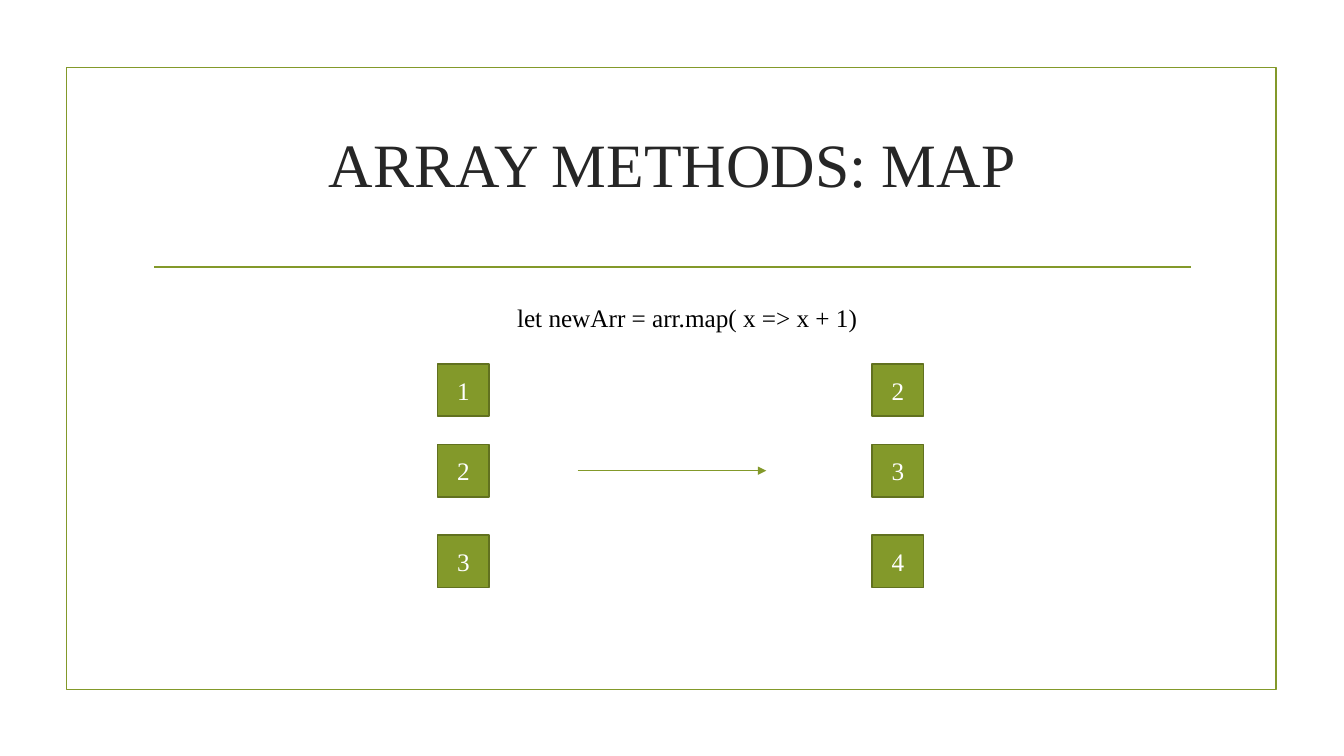
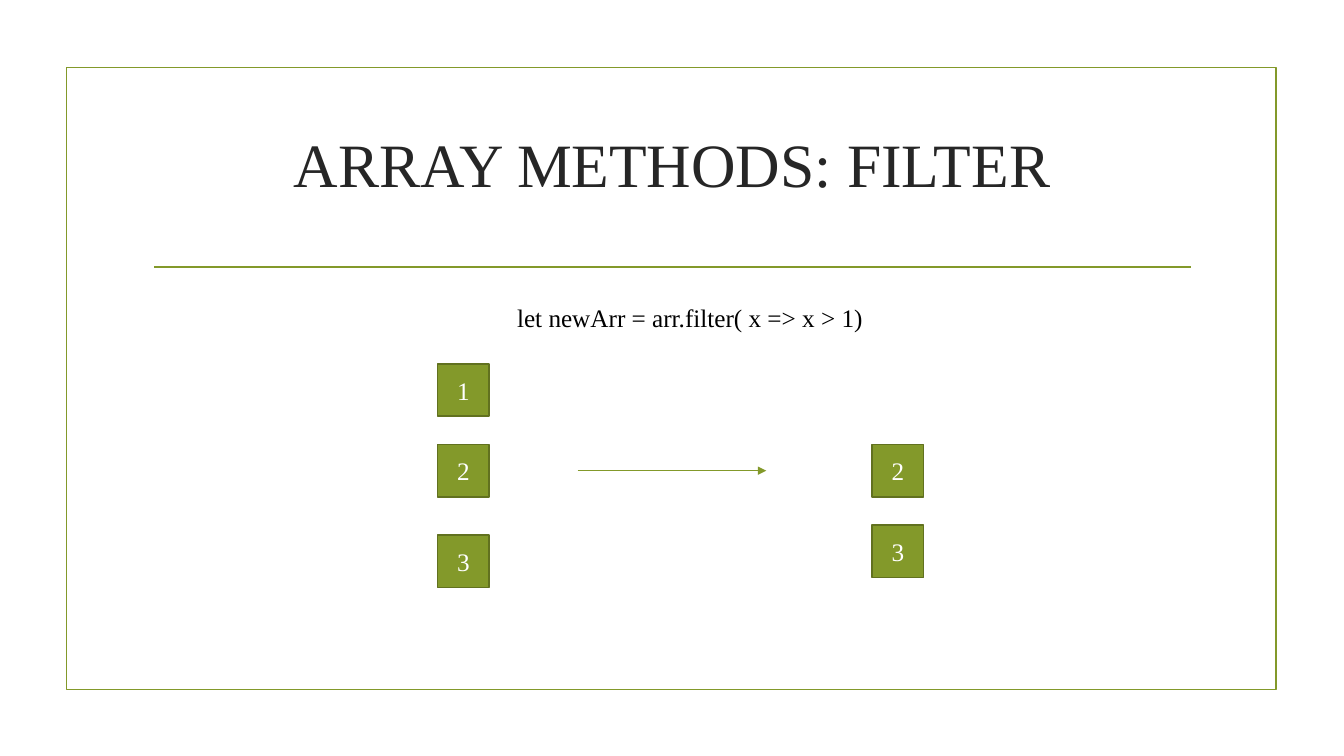
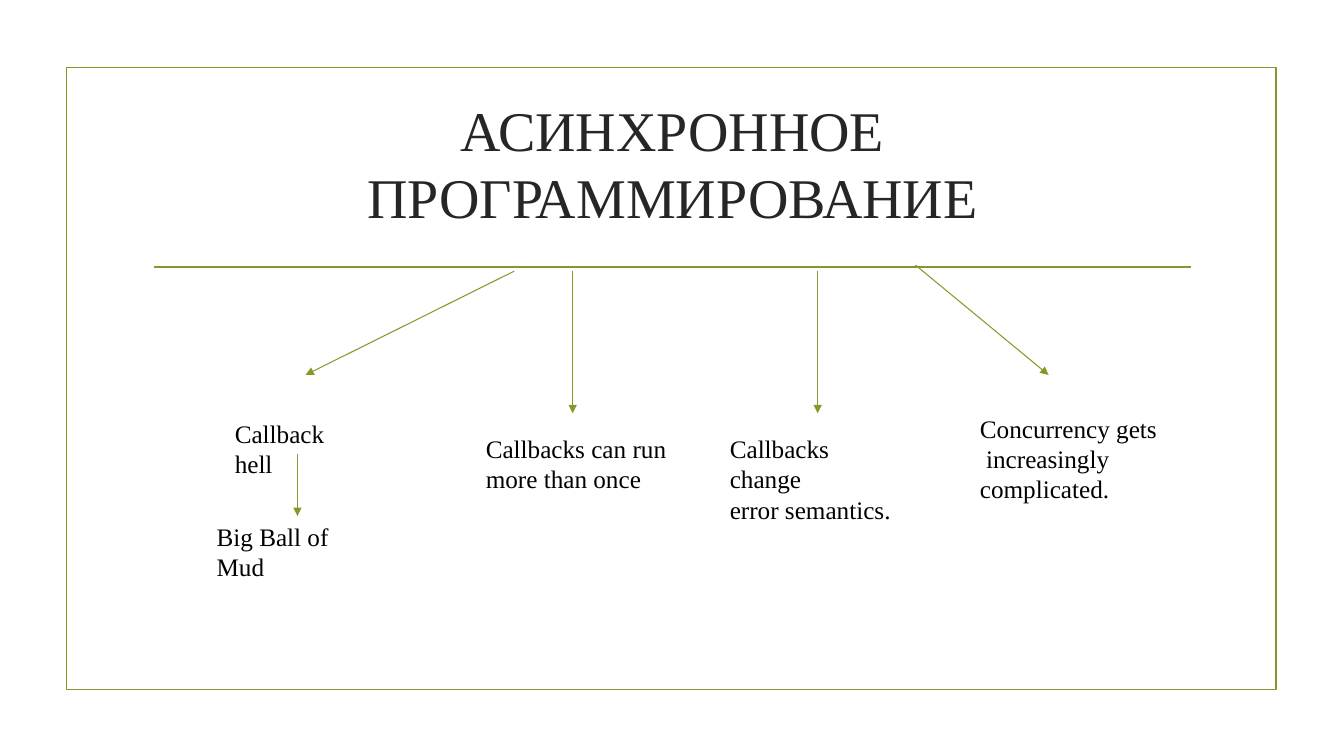
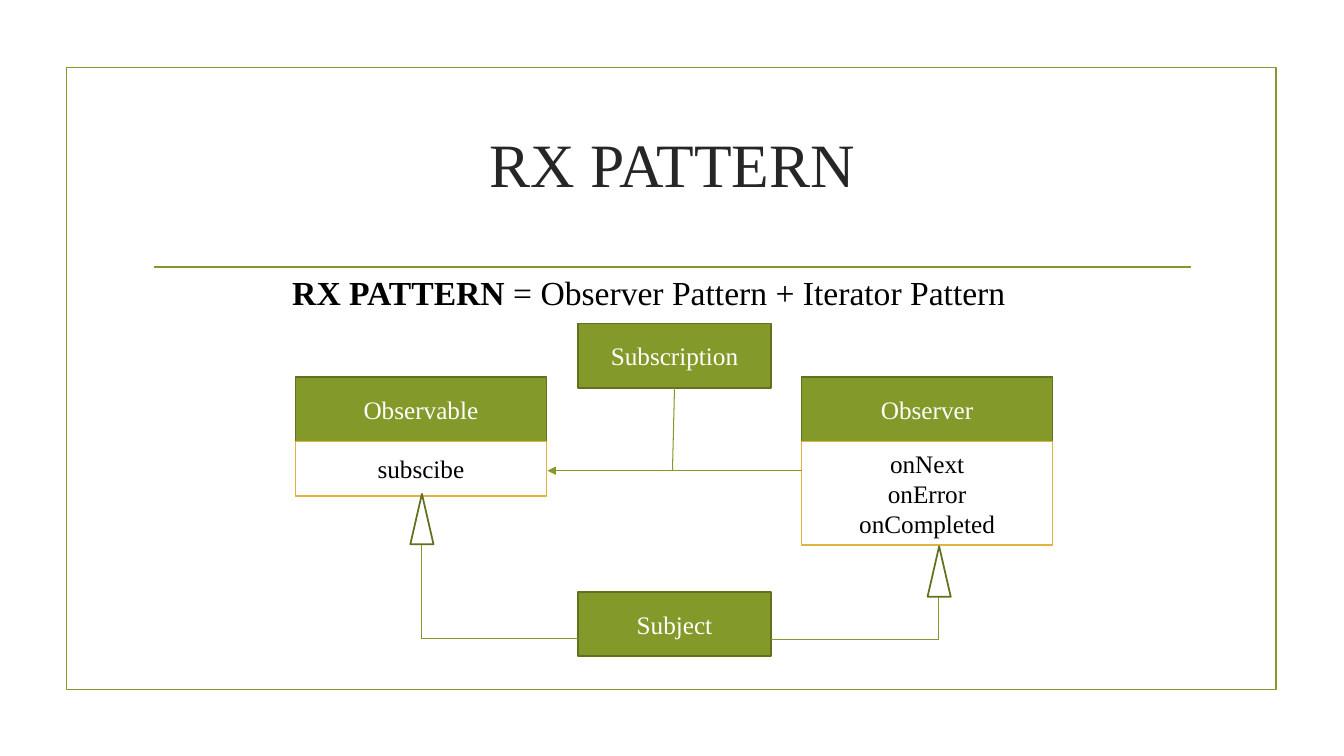
from dataclasses import dataclass

from lxml.etree import SubElement
from pptx import Presentation
from pptx.dml.color import RGBColor
from pptx.enum.shapes import MSO_CONNECTOR, MSO_SHAPE, PP_PLACEHOLDER
from pptx.enum.text import MSO_ANCHOR, MSO_AUTO_SIZE, PP_ALIGN
from pptx.oxml.ns import qn
from pptx.shapes.autoshape import Shape
from pptx.shapes.connector import Connector
from pptx.slide import Slide, SlideLayout
from pptx.text.text import TextFrame
from pptx.util import Inches, Pt

COLORS = {
    "green": "83992A",
    "dark green": "61711F",
    "gold": "DEB340",
    "title": "262626",
    "black": "000000",
    "white": "FFFFFF",
}
FONT = "Times New Roman"
TITLE_AT = (1.42, 1.07, 10.5, 1.09)
FRAME_AT = (0.66, 0.67, 12, 6.17)
RULE_Y = 2.65

ROWS = (3.61, 4.41, 5.31)
SOURCE_X, RESULT_X = 4.34, 8.65
CELL_SIZE = (0.51, 0.52)


@dataclass(frozen=True)
class BoxStyle:
    fill: str | None
    line: str
    text: str


HEADER = BoxStyle("green", "dark green", "white")
MEMBERS = BoxStyle("white", "gold", "black")
INHERITANCE = BoxStyle("white", "dark green", "black")
FRAME = BoxStyle(None, "green", "black")


@dataclass(frozen=True)
class Box:
    text: str
    at: tuple[float, float, float, float]
    style: BoxStyle = HEADER


@dataclass(frozen=True)
class Line:
    start: tuple[float, float]
    end: tuple[float, float]
    arrow: bool = True


@dataclass(frozen=True)
class Note:
    text: str
    left: float
    top: float
    width: float
    height: float = 0.4


@dataclass(frozen=True)
class ArrayMethod:
    title: str
    code: str
    results: tuple[tuple[str, float], ...]


METHODS = (
    ArrayMethod("ARRAY METHODS: MAP", "let newArr = arr.map( x => x + 1)",
                tuple(zip("234", ROWS))),
    ArrayMethod("ARRAY METHODS: FILTER", "let newArr = arr.filter( x => x > 1)",
                (("2", 4.41), ("3", 5.21))),
)

CALLBACK_NOTES = (
    Note("Callback hell", 2.23, 4.1, 1.45),
    Note("Big Ball of Mud", 2.05, 5.12, 1.8),
    Note("Callbacks can run\nmore than once", 4.72, 4.25, 2, 0.71),
    Note("Callbacks change\nerror semantics.", 7.14, 4.25, 1.93, 0.71),
    Note("Concurrency gets\n increasingly complicated.", 9.62, 4.05, 2.71, 0.71),
)
CALLBACK_ARROWS = (
    Line((5.1, 2.69), (3.03, 3.72)),
    Line((2.95, 4.5), (2.95, 5.12)),
    Line((5.68, 2.69), (5.68, 4.1)),
    Line((8.11, 2.69), (8.11, 4.1)),
    Line((9.08, 2.63), (10.4, 3.72)),
)

RX_BOXES = (
    Box("Observable", (2.93, 3.74, 2.49, 0.64)),
    Box("subscibe", (2.93, 4.38, 2.49, 0.54), MEMBERS),
    Box("Observer", (7.95, 3.74, 2.49, 0.64)),
    Box("onNext\nonError\nonCompleted", (7.95, 4.38, 2.49, 1.03), MEMBERS),
    Box("Subscription", (5.73, 3.21, 1.92, 0.64)),
    Box("Subject", (5.73, 5.87, 1.92, 0.64)),
)
RX_LINES = (
    Line((7.95, 4.67), (5.43, 4.67)),
    Line((6.69, 3.85), (6.67, 4.67), arrow=False),
    Line((4.18, 6.34), (4.18, 5.4), arrow=False),
    Line((9.31, 6.34), (9.31, 5.91), arrow=False),
    Line((9.31, 6.34), (7.65, 6.34), arrow=False),
    Line((5.73, 6.33), (4.18, 6.33), arrow=False),
)
RX_TRIANGLES = ((4.07, 4.9, 0.23, 0.5), (9.2, 5.42, 0.23, 0.5))


def rgb(name: str) -> RGBColor:
    return RGBColor.from_string(COLORS[name])


def format_text(frame: TextFrame, color: str, size: float = 18,
                align: PP_ALIGN = PP_ALIGN.LEFT) -> None:
    for paragraph in frame.paragraphs:
        paragraph.alignment = align
        for run in paragraph.runs:
            run.font.name = FONT
            run.font.size = Pt(size)
            run.font.color.rgb = rgb(color)


def add_box(slide: Slide, box: Box, preset: MSO_SHAPE = MSO_SHAPE.RECTANGLE) -> Shape:
    shape = slide.shapes.add_shape(preset, *map(Inches, box.at))
    shape.shadow.inherit = False
    if box.style.fill:
        shape.fill.solid()
        shape.fill.fore_color.rgb = rgb(box.style.fill)
    else:
        shape.fill.background()
    shape.line.color.rgb = rgb(box.style.line)
    shape.line.width = Pt(1.25)
    if box.text:
        shape.text_frame.text = box.text
        shape.text_frame.vertical_anchor = MSO_ANCHOR.MIDDLE
        format_text(shape.text_frame, box.style.text, align=PP_ALIGN.CENTER)
    return shape


def add_line(slide: Slide, line: Line, width: float = 0.75) -> Connector:
    connector = slide.shapes.add_connector(
        MSO_CONNECTOR.STRAIGHT, *map(Inches, line.start + line.end))
    connector.line.color.rgb = rgb("green")
    connector.line.width = Pt(width)
    properties = connector.element.spPr
    if line.arrow:
        SubElement(properties.find(qn("a:ln")), qn("a:tailEnd"), type="triangle")
    SubElement(properties, qn("a:effectLst"))
    return connector


def add_note(slide: Slide, note: Note, size: float = 18) -> TextFrame:
    textbox = slide.shapes.add_textbox(
        *map(Inches, (note.left, note.top, note.width, note.height)))
    frame = textbox.text_frame
    frame.word_wrap = True
    frame.auto_size = MSO_AUTO_SIZE.SHAPE_TO_FIT_TEXT
    frame.text = note.text
    format_text(frame, "black", size)
    return frame


def add_slide(deck: Presentation, layout: SlideLayout, title: str,
              size: float = 44) -> Slide:
    slide = deck.slides.add_slide(layout)
    heading = slide.shapes.title
    heading.left, heading.top, heading.width, heading.height = map(Inches, TITLE_AT)
    frame = heading.text_frame
    frame.text = title
    frame.word_wrap = True
    frame.auto_size = MSO_AUTO_SIZE.NONE
    frame.vertical_anchor = MSO_ANCHOR.MIDDLE
    format_text(frame, "title", size, PP_ALIGN.CENTER)
    return slide


def decorate_layout(layout: SlideLayout, slide: Slide) -> None:
    """Draw the frame and rule on a slide, then move them to its layout."""
    for placeholder in list(layout.placeholders):
        if placeholder.placeholder_format.type != PP_PLACEHOLDER.TITLE:
            placeholder.element.getparent().remove(placeholder.element)
    frame = add_box(slide, Box("", FRAME_AT, FRAME))
    rule = add_line(slide, Line((1.53, RULE_Y), (11.81, RULE_Y), arrow=False), 1.25)
    for part in (frame, rule):
        layout.shapes.element.append(part.element)


def draw_method(slide: Slide, method: ArrayMethod) -> None:
    add_note(slide, Note(method.code, 5.03, 2.95, 3.65))
    for value, top in zip("123", ROWS):
        add_box(slide, Box(value, (SOURCE_X, top, *CELL_SIZE)))
    add_line(slide, Line((5.73, 4.67), (7.6, 4.67)))
    for value, top in method.results:
        add_box(slide, Box(value, (RESULT_X, top, *CELL_SIZE)))


def draw_callbacks(slide: Slide) -> None:
    for note in CALLBACK_NOTES:
        add_note(slide, note)
    for arrow in CALLBACK_ARROWS:
        add_line(slide, arrow)


def draw_rx_pattern(slide: Slide) -> None:
    formula = add_note(slide, Note("RX PATTERN ", 2.8, RULE_Y, 8.05, 0.5))
    formula.paragraphs[0].runs[0].font.bold = True
    formula.paragraphs[0].add_run().text = "= Observer Pattern + Iterator Pattern"
    format_text(formula, "black", 24)
    for box in RX_BOXES:
        add_box(slide, box)
    for line in RX_LINES:
        add_line(slide, line)
    for at in RX_TRIANGLES:
        add_box(slide, Box("", at, INHERITANCE), MSO_SHAPE.ISOSCELES_TRIANGLE)


def main() -> None:
    deck = Presentation()
    deck.slide_width, deck.slide_height = Inches(13.33), Inches(7.5)
    layout = deck.slide_layouts.get_by_name("Title Only")
    method_slides = [add_slide(deck, layout, method.title) for method in METHODS]
    decorate_layout(layout, method_slides[0])
    for slide, method in zip(method_slides, METHODS):
        draw_method(slide, method)
    draw_callbacks(add_slide(deck, layout, "АСИНХРОННОЕ ПРОГРАММИРОВАНИЕ", 40))
    draw_rx_pattern(add_slide(deck, layout, "RX PATTERN"))
    deck.save("out.pptx")


if __name__ == "__main__":
    main()
